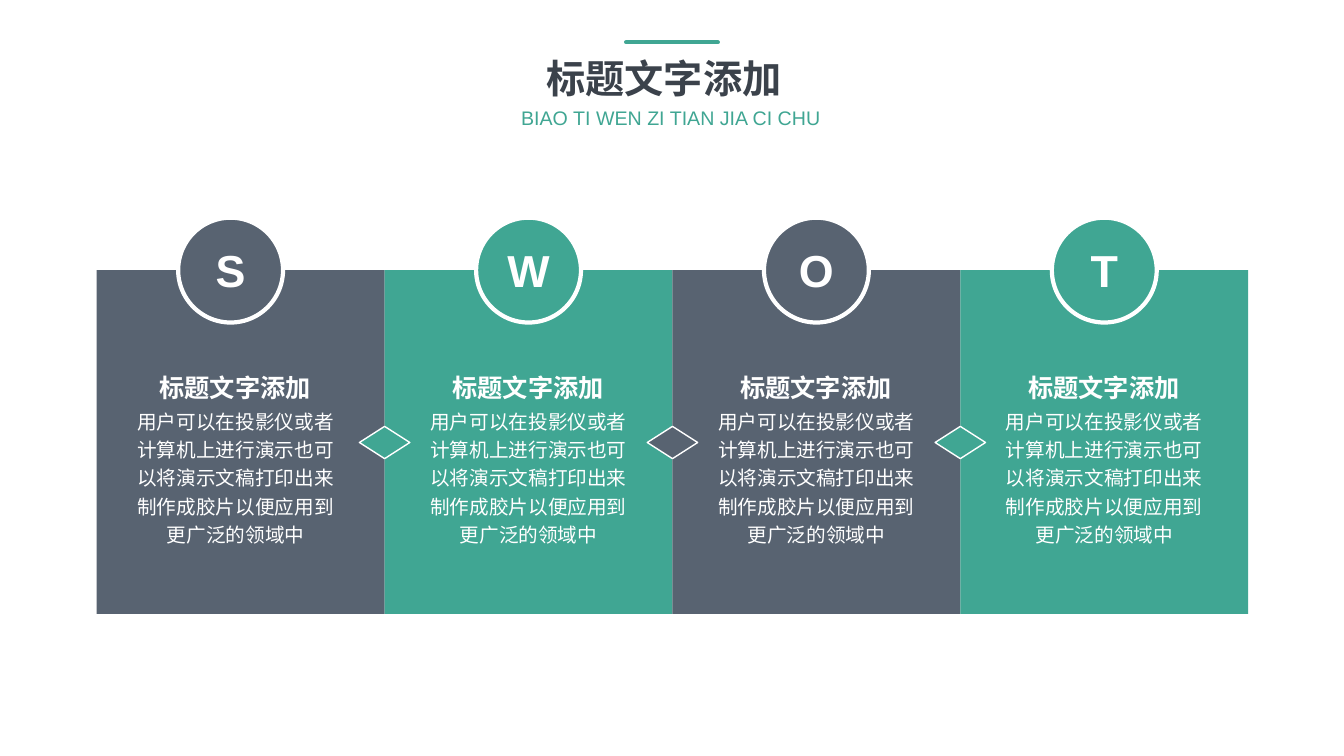
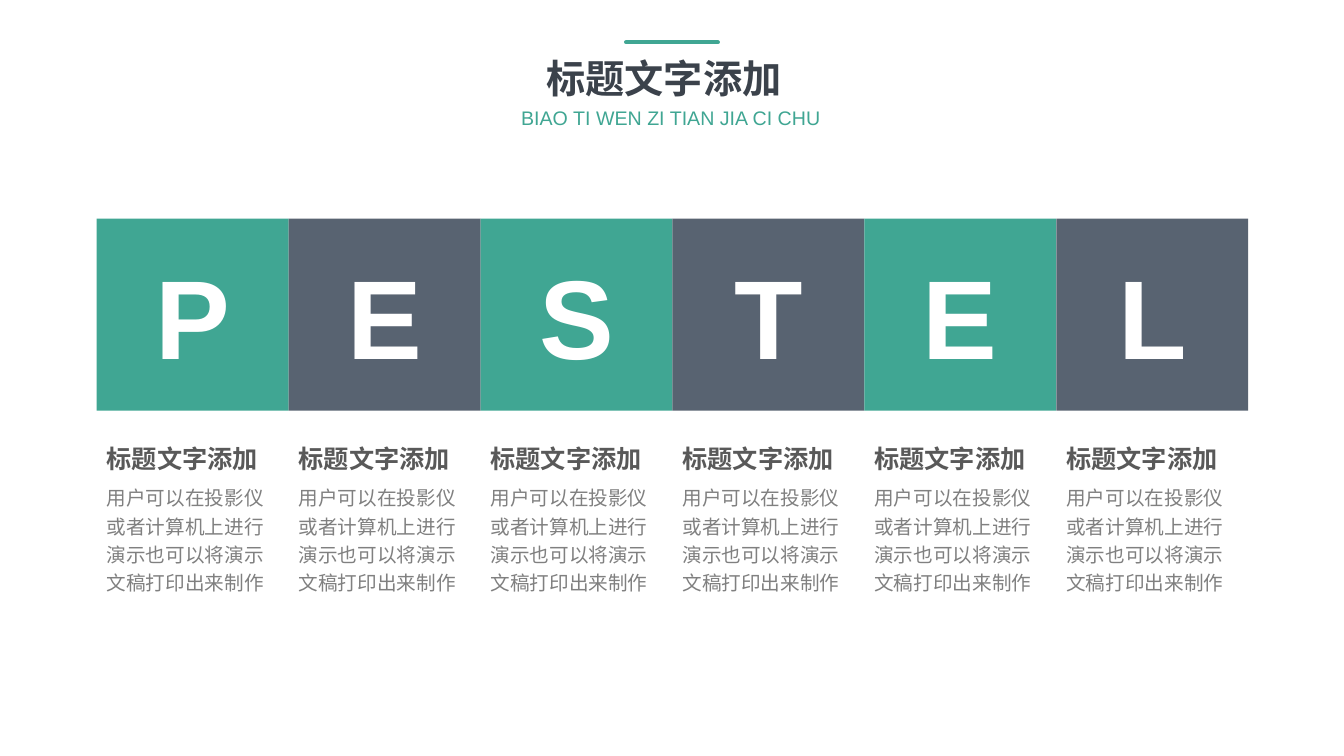
from pptx import Presentation
from pptx.dml.color import RGBColor
from pptx.enum.shapes import MSO_CONNECTOR, MSO_SHAPE
from pptx.enum.text import MSO_ANCHOR, MSO_AUTO_SIZE, PP_ALIGN
from pptx.oxml.ns import qn
from pptx.util import Inches, Pt
from lxml import etree

RECTANGLE, OVAL, DIAMOND = MSO_SHAPE.RECTANGLE, MSO_SHAPE.OVAL, MSO_SHAPE.DIAMOND
STRAIGHT = MSO_CONNECTOR.STRAIGHT
TOP, MIDDLE = MSO_ANCHOR.TOP, MSO_ANCHOR.MIDDLE
LEFT, CENTER, JUSTIFY = PP_ALIGN.LEFT, PP_ALIGN.CENTER, PP_ALIGN.JUSTIFY
FIT_SHAPE = MSO_AUTO_SIZE.SHAPE_TO_FIT_TEXT

GREEN, SLATE, WHITE = "40A693", "586371", "FFFFFF"
TITLE_COLOR, HEADING_COLOR, BODY_COLOR = "3B424B", "595959", "808080"
FONT = "Arial"
TITLE_ONLY = 5

BAND_LEFT, BAND_WIDTH = 0.96, 11.42
HEADING = "标题文字添加"
SUBTITLE = "BIAO TI WEN ZI TIAN JIA CI CHU"
SHORT_BODY = "用户可以在投影仪或者计算机上进行演示也可以将演示文稿打印出来制作"
LONG_BODY = SHORT_BODY + "成胶片以便应用到更广泛的领域中"


def color(hex_string):
    return RGBColor.from_string(hex_string)


class Deck:
    def __init__(self):
        self.deck = Presentation()
        self.deck.slide_width = Inches(13.33)
        self.deck.slide_height = Inches(7.5)
        self.page = None

    def add_page(self):
        self.page = self.deck.slides.add_slide(self.deck.slide_layouts[TITLE_ONLY])
        self.line(6.21, 0.42, 7.12, 0.42)
        title = self.page.shapes.title
        title.left, title.top = Inches(5.32), Inches(0.49)
        title.width, title.height = Inches(2.69), Inches(0.57)
        self.fill_text(title, HEADING, 28, TITLE_COLOR, bold=True, align=JUSTIFY)
        self.text(5.07, 1, 3.19, 0.34, SUBTITLE, 14, GREEN, wrap=False)

    def fill_text(self, box, words, size, text_color, bold=False, align=LEFT,
                  spacing=1.0, anchor=TOP, wrap=True):
        frame = box.text_frame
        frame.word_wrap = wrap
        frame.vertical_anchor = anchor
        frame.text = words
        paragraph = frame.paragraphs[0]
        paragraph.alignment = align
        paragraph.line_spacing = spacing
        font = paragraph.font
        font.name, font.size, font.bold = FONT, Pt(size), bold
        font.color.rgb = color(text_color)
        if anchor == TOP:
            frame.auto_size = FIT_SHAPE

    def text(self, left, top, width, height, words, size, text_color, **style):
        box = self.page.shapes.add_textbox(
            Inches(left), Inches(top), Inches(width), Inches(height))
        self.fill_text(box, words, size, text_color, **style)

    def line(self, start_x, start_y, end_x, end_y):
        rule = self.page.shapes.add_connector(
            STRAIGHT, Inches(start_x), Inches(start_y), Inches(end_x), Inches(end_y))
        rule.line.color.rgb = color(GREEN)
        rule.line.width = Pt(3)
        properties = rule.element.spPr
        properties.find(qn("a:ln")).set("cap", "rnd")
        etree.SubElement(properties, qn("a:effectLst"))

    def shape(self, kind, left, top, width, height, fill, outline=0, letter="", size=32):
        shape = self.page.shapes.add_shape(
            kind, Inches(left), Inches(top), Inches(width), Inches(height))
        shape.shadow.inherit = False
        shape.fill.solid()
        shape.fill.fore_color.rgb = color(fill)
        if outline:
            shape.line.color.rgb = color(WHITE)
            shape.line.width = Pt(outline)
        else:
            shape.line.fill.background()
        if letter:
            frame = shape.text_frame
            frame.margin_left = frame.margin_right = 0
            frame.margin_top = frame.margin_bottom = 0
            self.fill_text(shape, letter, size, WHITE, bold=True, align=CENTER,
                           anchor=MIDDLE)


def add_swot(deck):
    deck.add_page()
    width = BAND_WIDTH / 4
    fills = [SLATE, GREEN, SLATE, GREEN]
    lefts = [BAND_LEFT + index * width for index in range(4)]
    circle_shifts = [-0.1, 0, 0, 0]
    text_shifts = [-0.05, 0, 0, 0]
    for left, fill in zip(lefts, fills):
        deck.shape(RECTANGLE, left, 2.68, width, 3.41, fill)
    for left, fill in zip(lefts[1:], fills[1:]):
        deck.shape(DIAMOND, left - 0.25, 4.23, 0.5, 0.32, fill, outline=1)
    columns = zip("SWOT", lefts, fills, circle_shifts, text_shifts)
    for letter, left, fill, circle_shift, text_shift in columns:
        center = left + width / 2
        deck.shape(OVAL, center + circle_shift - 0.52, 2.16, 1.04, 1.04, fill,
                   outline=3, letter=letter)
        middle = center + text_shift
        deck.text(middle - 1.1, 3.97, 2.2, 1.51, LONG_BODY, 14, WHITE,
                  align=CENTER, spacing=1.2)
        deck.text(middle - 1.23, 3.58, 2.45, 0.43, HEADING, 18, WHITE,
                  bold=True, align=CENTER, spacing=1.2)


def add_pestel(deck):
    deck.add_page()
    width = BAND_WIDTH / 6
    for index, letter in enumerate("PESTEL"):
        left = BAND_LEFT + index * width
        fill = SLATE if index % 2 else GREEN
        deck.shape(RECTANGLE, left, 2.17, width, width, fill, letter=letter, size=80)
        deck.text(left, 4.73, width, 1.23, SHORT_BODY, 14, BODY_COLOR, spacing=1.2)
        deck.text(left, 4.29, width, 0.46, HEADING, 18, HEADING_COLOR,
                  bold=True, align=JUSTIFY, spacing=1.2)


def main():
    deck = Deck()
    add_swot(deck)
    add_pestel(deck)
    deck.deck.save("out.pptx")


if __name__ == "__main__":
    main()
